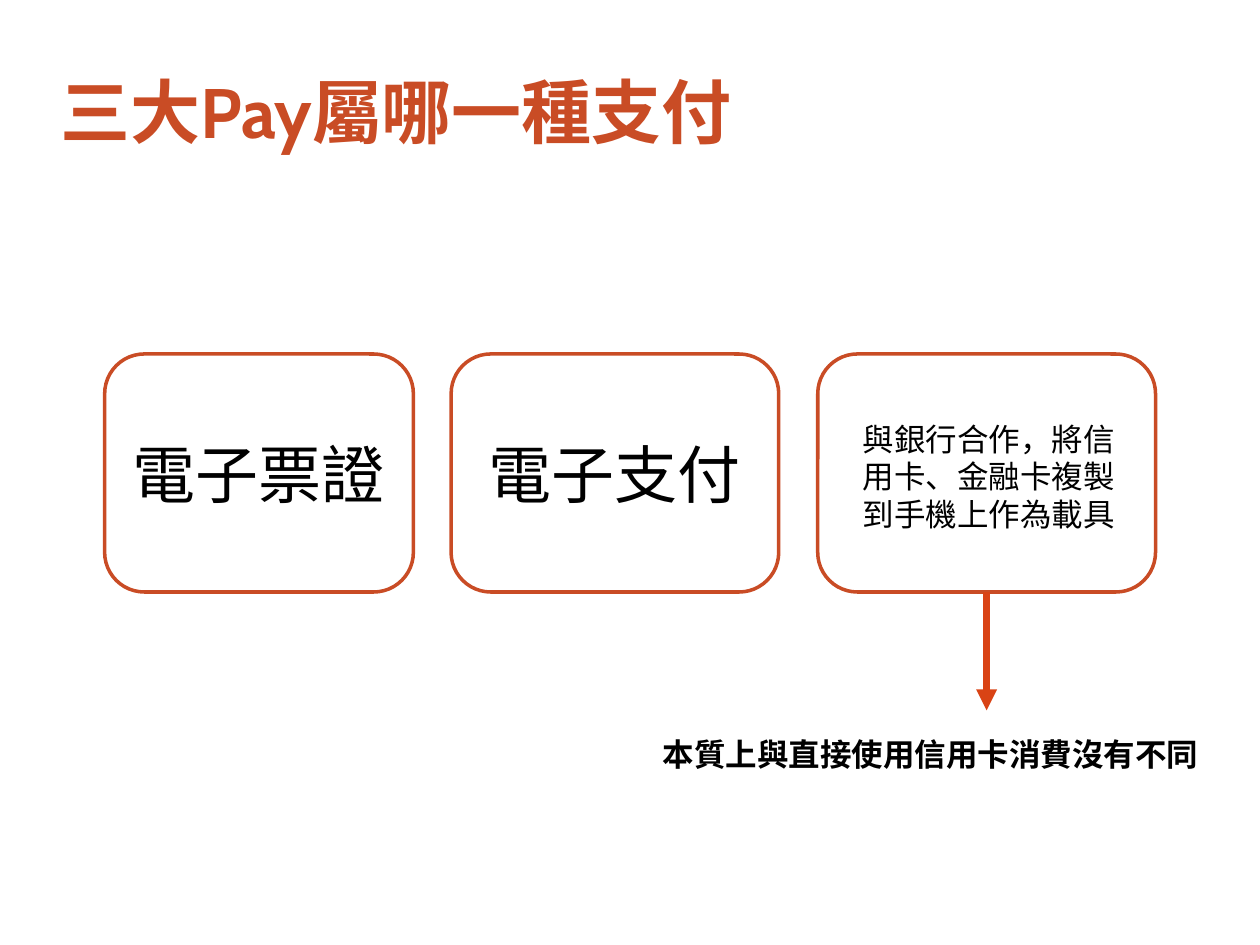
from dataclasses import dataclass

from lxml import etree
from pptx import Presentation
from pptx.dml.color import RGBColor
from pptx.enum.shapes import MSO_CONNECTOR, MSO_SHAPE
from pptx.enum.text import MSO_ANCHOR, MSO_AUTO_SIZE, PP_ALIGN
from pptx.oxml.ns import qn
from pptx.util import Pt

ROUNDED = MSO_SHAPE.ROUNDED_RECTANGLE
STRAIGHT = MSO_CONNECTOR.STRAIGHT
MIDDLE = MSO_ANCHOR.MIDDLE
FIXED = MSO_AUTO_SIZE.NONE
LEFT, CENTER = PP_ALIGN.LEFT, PP_ALIGN.CENTER
TITLE_ONLY = 5


@dataclass(frozen=True)
class Theme:
    accent: RGBColor = RGBColor(0xC9, 0x4C, 0x25)
    arrow: RGBColor = RGBColor(0xD9, 0x43, 0x15)
    ink: RGBColor = RGBColor(0, 0, 0)
    paper: RGBColor = RGBColor(0xFF, 0xFF, 0xFF)
    title_font: str = "Cabin"
    body_font: str = "Arial"
    title_size: int = 40
    card_size: int = 36
    note_size: int = 18
    outline: int = 2
    arrow_width: int = 4


@dataclass(frozen=True)
class Card:
    left: float
    width: float
    label: str = ""
    filled: bool = False


THEME = Theme()
CARD_TOP, CARD_HEIGHT = 202.3, 136
CARDS = (
    Card(59.8, 176.4, "電子票證"),
    Card(257.8, 187.2, "電子支付"),
    Card(467.3, 193, filled=True),
)


def style_paragraph(para, size: float, color: RGBColor, name: str, bold: bool = False) -> None:
    para.font.size = Pt(size)
    para.font.color.rgb = color
    para.font.name = name
    para.font.bold = bold


def set_title(page, text: str) -> None:
    title = page.shapes.title
    title.left, title.top, title.width, title.height = Pt(20.2), Pt(31.7), Pt(477.4), Pt(62.6)
    frame = title.text_frame
    frame.auto_size = FIXED
    frame.word_wrap = True
    frame.vertical_anchor = MIDDLE
    frame.margin_left = frame.margin_right = 0
    frame.margin_top = frame.margin_bottom = Pt(3.6)
    frame.text = text
    para = frame.paragraphs[0]
    para.alignment = LEFT
    properties = para._p.get_or_add_pPr()
    properties.set("marL", str(Pt(14.4)))
    properties.set("indent", "0")
    style_paragraph(para, THEME.title_size, THEME.accent, THEME.title_font, bold=True)


def add_card(page, card: Card) -> None:
    box = page.shapes.add_shape(
        ROUNDED, Pt(card.left), Pt(CARD_TOP), Pt(card.width), Pt(CARD_HEIGHT)
    )
    box.shadow.inherit = False
    if card.filled:
        box.fill.solid()
        box.fill.fore_color.rgb = THEME.paper
    else:
        box.fill.background()
    box.line.color.rgb = THEME.accent
    box.line.width = Pt(THEME.outline)
    if card.label:
        frame = box.text_frame
        frame.vertical_anchor = MIDDLE
        frame.text = card.label
        para = frame.paragraphs[0]
        para.alignment = CENTER
        style_paragraph(para, THEME.card_size, THEME.ink, THEME.body_font)


def add_note(page, text: str, left: float, top: float, width: float, height: float,
             bold: bool = False) -> None:
    box = page.shapes.add_textbox(Pt(left), Pt(top), Pt(width), Pt(height))
    frame = box.text_frame
    frame.word_wrap = True
    frame.text = text
    style_paragraph(frame.paragraphs[0], THEME.note_size, THEME.ink, THEME.body_font, bold)


def add_down_arrow(page, x: float, top: float, bottom: float) -> None:
    arrow = page.shapes.add_connector(STRAIGHT, Pt(x), Pt(top), Pt(x), Pt(bottom))
    arrow.line.color.rgb = THEME.arrow
    arrow.line.width = Pt(THEME.arrow_width)
    etree.SubElement(arrow.line._get_or_add_ln(), qn("a:tailEnd"), type="triangle")
    etree.SubElement(arrow._element.spPr, qn("a:effectLst"))


def main() -> None:
    deck = Presentation()
    deck.slide_width, deck.slide_height = Pt(720), Pt(540)
    page = deck.slides.add_slide(deck.slide_layouts[TITLE_ONLY])

    set_title(page, "三大Pay屬哪一種支付")
    for card in CARDS:
        add_card(page, card)
    add_note(page, "與銀行合作，將信用卡、金融卡複製到手機上作為載具", 486, 236.2, 171.4, 72.7)

    last = CARDS[-1]
    add_down_arrow(page, last.left + last.width / 2, CARD_TOP + CARD_HEIGHT, 406)
    add_note(page, "本質上與直接使用信用卡消費沒有不同", 371.5, 416.2, 334.8, 29, bold=True)

    deck.save("out.pptx")


if __name__ == "__main__":
    main()
